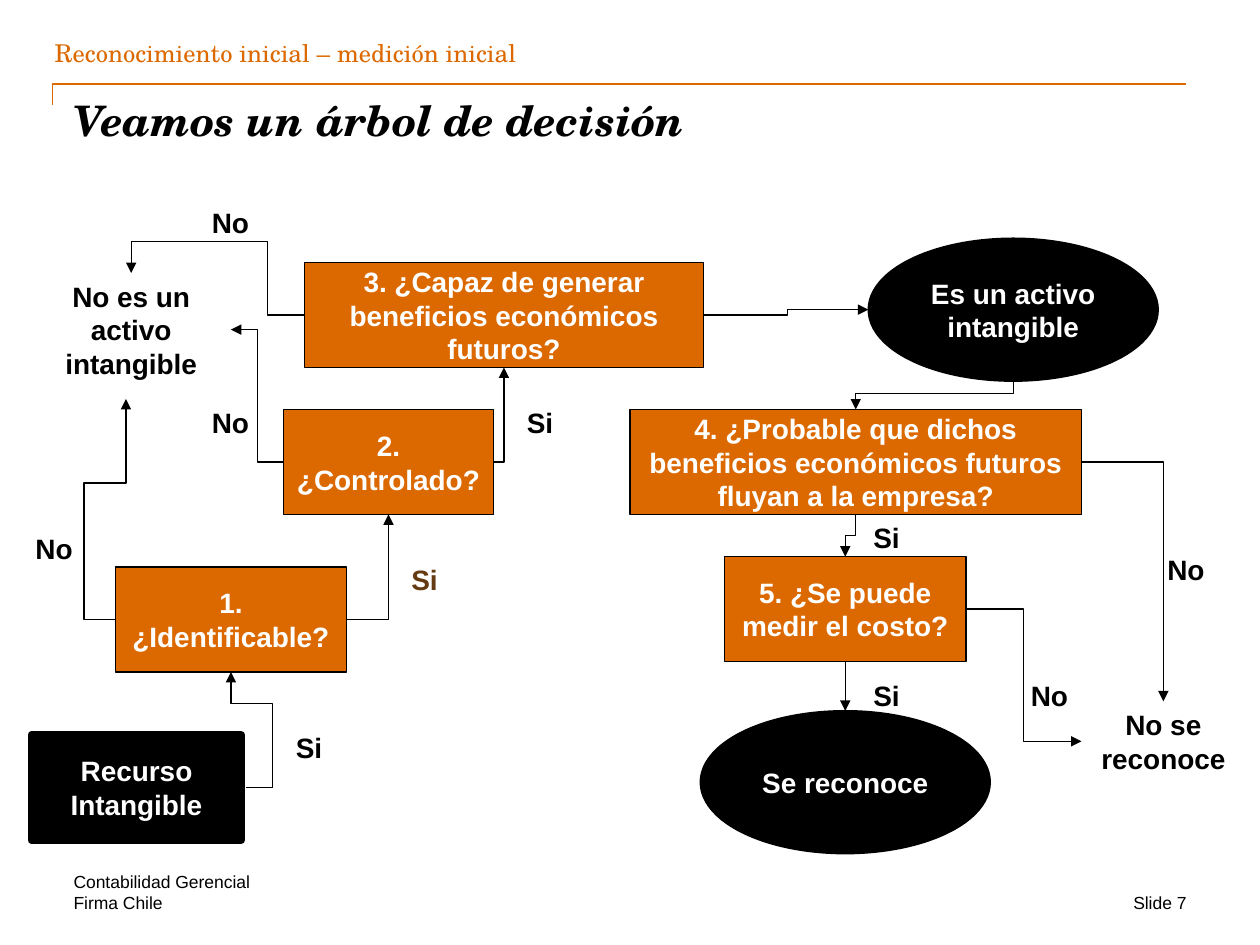
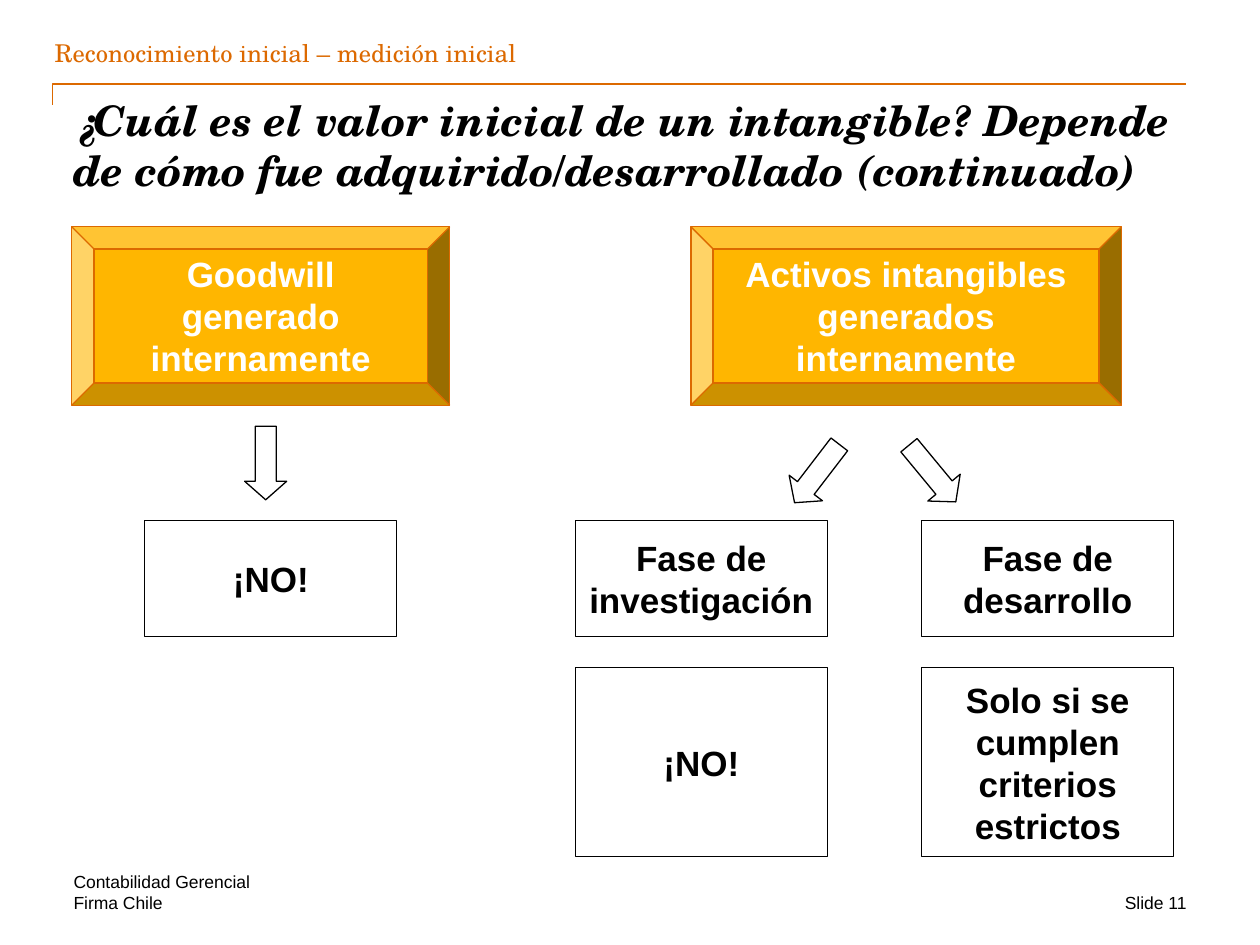
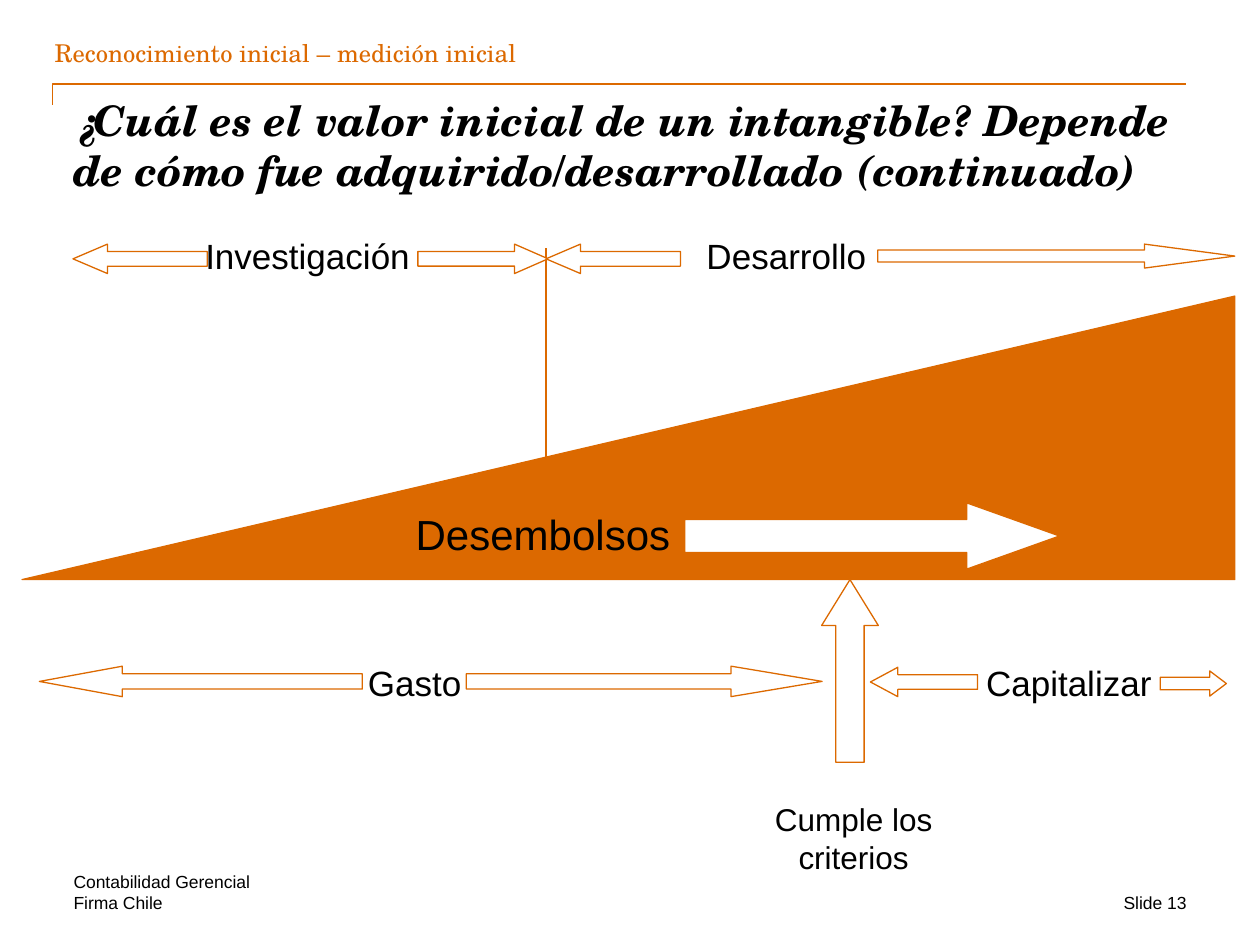
from pptx import Presentation
from pptx.dml.color import RGBColor
from pptx.enum.shapes import MSO_CONNECTOR, MSO_SHAPE
from pptx.enum.text import MSO_ANCHOR, PP_ALIGN
from pptx.oxml.ns import qn
from pptx.util import Inches, Pt
from lxml import etree

COLORS = {"orange": "DC6900", "amber": "FFB600", "brown": "633A11",
          "black": "000000", "white": "FFFFFF"}
SANS, SERIF = "Arial", "TeX Gyre Schola"
LEFT, CENTER, RIGHT = PP_ALIGN.LEFT, PP_ALIGN.CENTER, PP_ALIGN.RIGHT
TOP, MIDDLE, BOTTOM = MSO_ANCHOR.TOP, MSO_ANCHOR.MIDDLE, MSO_ANCHOR.BOTTOM
RECT, OVAL, BEVEL = MSO_SHAPE.RECTANGLE, MSO_SHAPE.OVAL, MSO_SHAPE.BEVEL
ARROW = MSO_SHAPE.RIGHT_ARROW

prs = Presentation()
prs.slide_width, prs.slide_height = Inches(10), Inches(7.5)
CELL = prs.slide_width / 120  # the grid has 120 columns and 90 rows


def block(slide, kind, box, text="", size=16, color="black", bold=False, italic=False,
          font=SANS, align=CENTER, anchor=MIDDLE, pad=(1.2, 0.6),
          fill=None, line="black", weight=0.75, rot=0, adj=()):
    """Add a preset shape, or a text box when kind is None."""
    place = [round(v * CELL) for v in box]
    if kind is None:
        shape = slide.shapes.add_textbox(*place)
    else:
        shape = slide.shapes.add_shape(kind, *place)
        shape.shadow.inherit = False
        shape.rotation = rot
        for i, value in enumerate(adj):
            shape.adjustments[i] = value
        if fill:
            shape.fill.solid()
            shape.fill.fore_color.rgb = RGBColor.from_string(COLORS[fill])
        else:
            shape.fill.background()
        shape.line.color.rgb = RGBColor.from_string(COLORS[line])
        shape.line.width = Pt(weight)
    if text:
        frame = shape.text_frame
        frame.word_wrap = True
        frame.vertical_anchor = anchor
        frame.margin_left = frame.margin_right = round(pad[0] * CELL)
        frame.margin_top = frame.margin_bottom = round(pad[1] * CELL)
        frame.text = text
        for paragraph in frame.paragraphs:
            paragraph.alignment = align
            style = paragraph.runs[0].font
            style.name, style.size, style.bold, style.italic = font, Pt(size), bold, italic
            style.color.rgb = RGBColor.from_string(COLORS[color])
    return shape


def route(slide, points, color="black", weight=0.75, arrow=True):
    """Add a connector through right-angled points; its preset follows from their number."""
    (x0, y0), (x1, y1) = points[0], points[-1]
    bends = len(points) - 1
    upright = bends > 1 and points[0][0] == points[1][0]
    if bends == 1:
        ends = x0, y0, x1, y1
    else:
        w, h = abs(x1 - x0), abs(y1 - y0)
        if upright:
            w, h = h, w
        cx, cy = (x0 + x1) / 2, (y0 + y1) / 2
        ends = cx - w / 2, cy - h / 2, cx + w / 2, cy + h / 2
    link = slide.shapes.add_connector(
        MSO_CONNECTOR.STRAIGHT if bends == 1 else MSO_CONNECTOR.ELBOW,
        *[round(v * CELL) for v in ends])
    props = link._element.spPr
    if bends > 1:
        # Upright routes are drawn lying down and turned by 90 degrees
        local = [(y - y0, x0 - x) if upright else (x - x0, y - y0) for x, y in points]
        frame = props.find(qn("a:xfrm"))
        if upright:
            frame.set("rot", "5400000")
        for name, reach in zip(("flipH", "flipV"), local[-1]):
            if reach < 0:
                frame.set(name, "1")
        geometry = props.find(qn("a:prstGeom"))
        geometry.set("prst", f"bentConnector{bends}")
        guides = geometry.find(qn("a:avLst"))
        for i in range(bends - 2):
            share = local[i + 1][i % 2] / local[-1][i % 2]
            etree.SubElement(guides, qn("a:gd"), name=f"adj{i + 1}",
                             fmla=f"val {round(share * 100000)}")
    link.line.color.rgb = RGBColor.from_string(COLORS[color])
    link.line.width = Pt(weight)
    if arrow:
        etree.SubElement(props.find(qn("a:ln")), qn("a:tailEnd"), type="triangle")
    etree.SubElement(props, qn("a:effectLst"))


# Shared frame: section, rule, title and footer
VALUE_TITLE = ("¿Cuál es el valor inicial de un intangible? Depende de cómo fue "
               "adquirido/desarrollado (continuado)")
slides = []
for number, title in ((7, "Veamos un árbol de decisión"), (11, VALUE_TITLE), (13, VALUE_TITLE)):
    slide = prs.slides.add_slide(prs.slide_layouts[6])
    slides.append(slide)
    route(slide, [(5, 10), (5, 8), (113, 8)], "orange", 1, arrow=False)
    block(slide, None, (5.2, 3.7, 66, 2.7), "Reconocimiento inicial – medición inicial", 14,
          "orange", font=SERIF, align=LEFT, anchor=BOTTOM, pad=(0, 0))
    block(slide, None, (7, 9, 106, 12), title, 24, bold=True, italic=True, font=SERIF,
          align=LEFT, anchor=TOP, pad=(0, 0))
    for box, text, align, anchor in (
            ((7, 83, 69, 2), "Contabilidad Gerencial", LEFT, BOTTOM),
            ((7, 85, 34, 2), "Firma Chile", LEFT, TOP),
            ((93, 85, 20, 2), f"Slide {number}", RIGHT, TOP)):
        block(slide, None, box, text, 10, align=align, anchor=anchor, pad=(0, 0))
tree, internal, timeline = slides

# Decision tree: questions
for box, text in (((11, 54, 22, 10), "1. ¿Identificable?"),
                  ((27, 39, 20, 10), "2. ¿Controlado?"),
                  ((29, 25, 38, 10), "3. ¿Capaz de generar beneficios económicos futuros?"),
                  ((60, 39, 43, 10), "4. ¿Probable que dichos beneficios económicos futuros "
                                     "fluyan a la empresa?"),
                  ((69, 53, 23, 10), "5. ¿Se puede medir el costo?")):
    block(tree, RECT, box, text, color="white", bold=True, fill="orange")

# Decision tree: start and outcomes
for kind, box, text in ((RECT, (3, 70, 20, 10), "Recurso Intangible"),
                        (OVAL, (83, 23, 27, 13), "Es un activo intangible"),
                        (OVAL, (67, 68, 27, 13), "Se reconoce")):
    block(tree, kind, box, text, color="white", bold=True, fill="black", weight=4.5)
block(tree, None, (3, 26, 19, 10.8), "No es un activo intangible", bold=True, anchor=TOP)
block(tree, None, (103, 66.8, 15.6, 7.7), "No se\nreconoce", bold=True, anchor=TOP)

# Decision tree: routes
for points in ([(23.4, 75), (26, 75), (26, 67), (22, 67), (22, 64)],
               [(33, 59), (37, 59), (37, 49)],
               [(47, 44), (48, 44), (48, 35)],
               [(11, 59), (8, 59), (8, 46), (12, 46), (12, 38)],
               [(27, 44), (24.5, 44), (24.5, 31.4), (22, 31.4)],
               [(29, 30), (25.5, 30), (25.5, 23), (12.5, 23), (12.5, 26)],
               [(67, 30), (75, 30), (75, 29.5), (82.7, 29.5)],
               [(96.5, 36.4), (96.5, 37.5), (81.5, 37.5), (81.5, 39)],
               [(81.5, 49), (81.5, 51), (80.5, 51), (80.5, 53)],
               [(80.5, 63), (80.5, 67.7)],
               [(103, 44), (110.8, 44), (110.8, 66.8)],
               [(92, 58), (97.5, 58), (97.5, 70.6), (103, 70.6)]):
    route(tree, points)

# Decision tree: answers
for answer, color, corners in (
        ("Si", "black", ((27, 69), (49, 38), (82, 49), (82, 64))),
        ("Si", "brown", ((38, 53),)),
        ("No", "black", ((2.2, 50), (19, 19), (19, 38), (110, 52), (97, 64)))):
    for x, y in corners:
        block(tree, None, (x, y, 7, 4.4), answer, color=color, bold=True, align=LEFT, anchor=TOP)

# Internally generated assets: headings, arrows and results
for x, width, text in ((6.84, 36, "Goodwill generado internamente"),
                       (65.8, 41, "Activos intangibles generados internamente")):
    block(internal, BEVEL, (x, 21.6, width, 17), text, 20, "white", True,
          fill="amber", line="orange", adj=(0.125,))
for x, y, turn in ((21.8, 42.1, 90), (74.3, 43.1, 127.5), (85.3, 43.1, 50.4)):
    block(internal, ARROW, (x, y, 7, 4), rot=turn, adj=(0.5, 0.44))
for x, y, height, text in ((13.8, 49.6, 11, "¡NO!"),
                           (54.8, 49.6, 11, "Fase de investigación"),
                           (87.8, 49.6, 11, "Fase de desarrollo"),
                           (54.8, 63.6, 18, "¡NO!"),
                           (87.8, 63.6, 18, "Solo si se cumplen criterios estrictos")):
    block(internal, RECT, (x, y, 24, height), text, 20, bold=True)

# Timeline: growing spend and the border between phases
block(timeline, MSO_SHAPE.ISOSCELES_TRIANGLE, (2.1, 28.2, 115.5, 27),
      fill="orange", line="orange", adj=(1,))
route(timeline, [(52, 43.5), (52, 23.6)], "orange", arrow=False)

# Timeline: labels
for box, text, size in (((16, 22.3, 26.6, 4), "Investigación", 20),
                        ((61.6, 22.3, 26.6, 4), "Desarrollo", 20),
                        ((31.7, 48.4, 40, 4.8), "Desembolsos", 24),
                        ((69.5, 76.2, 23.6, 7.2), "Cumple los criterios", 18),
                        ((27, 63, 25, 4), "Gasto", 20),
                        ((89.3, 63, 25, 4), "Capitalizar", 20)):
    block(timeline, None, box, text, size, anchor=TOP, pad=(0.84, 0))

# Timeline: arrows, with the head length as a share of the height
for x, y, width, height, head, turn in (
        (39.8, 23.25, 12.4, 2.8, 1.14, 0), (6.95, 23.25, 12.8, 2.8, 1.17, 180),
        (83.6, 23.25, 34, 2.28, 3.77, 0), (52, 23.25, 12.8, 2.8, 1.17, 180),
        (65.2, 47.9, 35.7, 6.3, 1.4, 0), (44.4, 63.45, 33.9, 2.9, 2.99, 0),
        (3.75, 63.45, 30.75, 2.9, 2.72, 180), (110.5, 63.9, 6.3, 2.4, 0.66, 0),
        (82.9, 63.55, 10.2, 2.8, 0.93, 180)):
    block(timeline, ARROW, (x, y, width, height), fill="white", line="orange",
          rot=turn, adj=(0.5, head))
block(timeline, MSO_SHAPE.UP_ARROW, (78.25, 55.2, 5.4, 17.4), fill="white", line="orange",
      adj=(0.5, 0.81))

prs.save("out.pptx")
